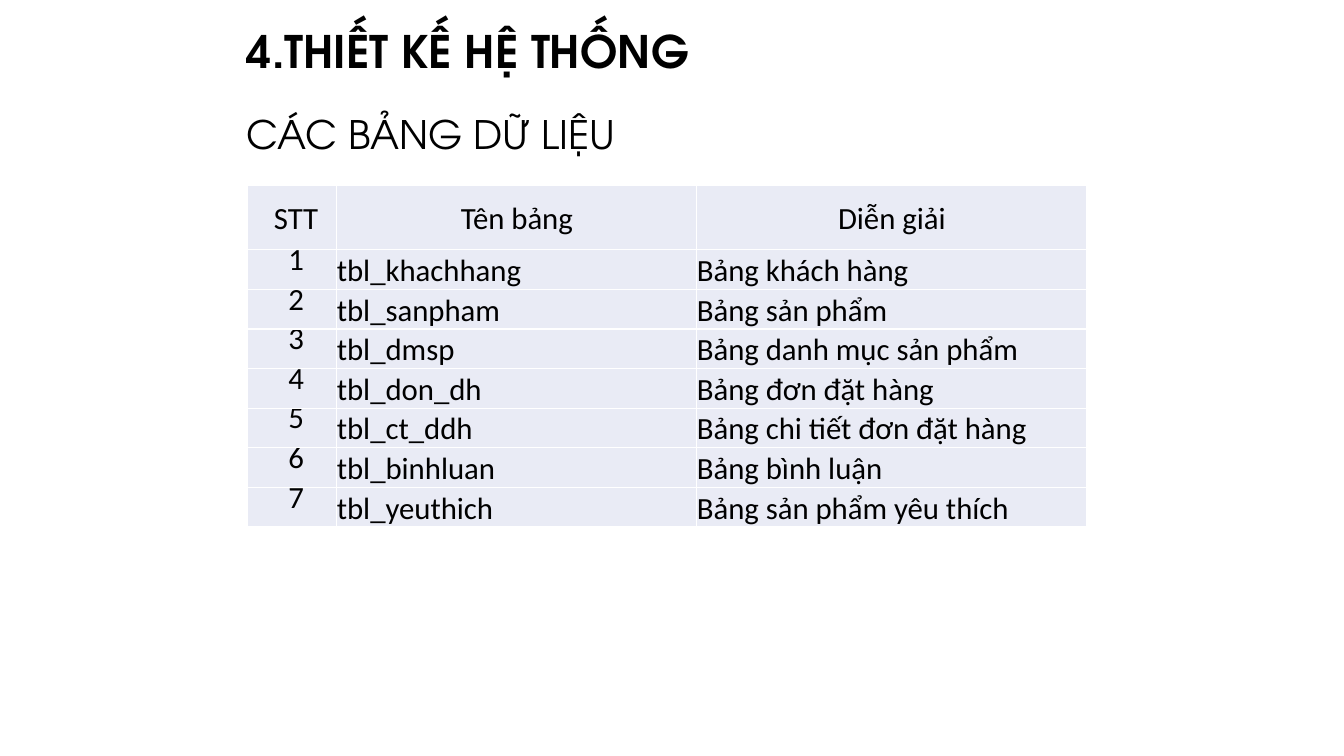
from lxml.etree import SubElement
from pptx import Presentation
from pptx.dml.color import RGBColor
from pptx.enum.text import MSO_ANCHOR as ANCHOR, MSO_AUTO_SIZE as AUTO, PP_ALIGN as ALIGN
from pptx.oxml.ns import qn
from pptx.util import Pt

# Content
TITLE = "4.THIẾT KẾ HỆ THỐNG"
SUBTITLE = "CÁC BẢNG DỮ LIỆU"
HEADER = ("STT", "Tên bảng", "Diễn giải")
TABLES = [
    ("tbl_khachhang", "Bảng khách hàng"),
    ("tbl_sanpham", "Bảng sản phẩm"),
    ("tbl_dmsp", "Bảng danh mục sản phẩm"),
    ("tbl_don_dh", "Bảng đơn đặt hàng"),
    ("tbl_ct_ddh", "Bảng chi tiết đơn đặt hàng"),
    ("tbl_binhluan", "Bảng bình luận"),
    ("tbl_yeuthich", "Bảng sản phẩm yêu thích"),
]

# Layout and formats
LEFT, WIDTH = 169.2, 620.6
TABLE_LEFT, TABLE_TOP = 176.4, 132.5
COL_WIDTHS = (64.2, 257.2, 278.6)
HEADER_HEIGHT, ROW_HEIGHT = 46, 27.2
NUMBER_INDENT = 6
BLACK, WHITE, CELL_FILL = "000000", "FFFFFF", "E9EBF5"
HEADING_FONT, TABLE_FONT = "TeX Gyre Adventor", "Calibri"
TITLE_FONT = dict(name=HEADING_FONT, size=Pt(32), bold=True)
SUBTITLE_FONT = dict(name=HEADING_FONT, size=Pt(28), bold=False)
CELL_FONT = dict(name=TABLE_FONT, size=Pt(22), bold=False)
CELL_SPACING = dict(line_spacing=1.07, space_before=Pt(6), space_after=Pt(6))
NO_MARGINS = dict.fromkeys(
    ("margin_left", "margin_right", "margin_top", "margin_bottom"), 0)


def color(hex_string):
    return RGBColor.from_string(hex_string)


def apply(obj, values):
    for name, value in values.items():
        setattr(obj, name, value)


def write(tf, text, font, para):
    p = tf.paragraphs[0]
    apply(p, para)
    r = p.add_run()
    r.text = text
    apply(r.font, font)
    r.font.color.rgb = color(BLACK)
    return p


def add_borders(cell):
    tc_pr = cell._tc.get_or_add_tcPr()
    for side in ("lnL", "lnR", "lnT", "lnB"):
        ln = SubElement(tc_pr, qn("a:" + side), w=str(Pt(1)))
        fill = SubElement(ln, qn("a:solidFill"))
        SubElement(fill, qn("a:srgbClr"), val=WHITE)


def format_cell(cell, text, row, col):
    add_borders(cell)  # borders come before the fill in the cell XML
    cell.fill.solid()
    cell.fill.fore_color.rgb = color(CELL_FILL)
    apply(cell, NO_MARGINS)
    body = row > 0 and col > 0
    cell.vertical_anchor = ANCHOR.BOTTOM if body else ANCHOR.MIDDLE
    para = dict(CELL_SPACING, alignment=ALIGN.JUSTIFY if body else ALIGN.CENTER)
    if row > 0 and col == 0:
        para["line_spacing"] = Pt(13.2)
    p = write(cell.text_frame, text, CELL_FONT, para)
    if col == 0:
        p._p.get_or_add_pPr().set("marL", str(Pt(NUMBER_INDENT)))


def main():
    prs = Presentation()
    prs.slide_width, prs.slide_height = Pt(960), Pt(540)
    s = prs.slides.add_slide(prs.slide_layouts[5])

    # Title
    title = s.shapes.title
    apply(title, dict(left=Pt(LEFT), top=Pt(9.4), width=Pt(WIDTH), height=Pt(58.3)))
    apply(title.text_frame, dict(word_wrap=True, auto_size=AUTO.NONE,
                                 vertical_anchor=ANCHOR.MIDDLE))
    write(title.text_frame, TITLE, TITLE_FONT,
          dict(alignment=ALIGN.LEFT, line_spacing=0.9))

    # Subtitle
    sp = s.shapes.add_textbox(Pt(LEFT), Pt(79.2), Pt(WIDTH), Pt(41.8))
    sp.text_frame.word_wrap = True
    write(sp.text_frame, SUBTITLE, SUBTITLE_FONT,
          dict(alignment=ALIGN.LEFT, line_spacing=0.9, space_before=Pt(10)))

    # Table of database tables, numbered from 1
    rows = [HEADER] + [(str(n), *names) for n, names in enumerate(TABLES, 1)]
    heights = [HEADER_HEIGHT] + [ROW_HEIGHT] * len(TABLES)
    table = s.shapes.add_table(
        len(rows), len(HEADER), Pt(TABLE_LEFT), Pt(TABLE_TOP),
        Pt(sum(COL_WIDTHS)), Pt(sum(heights))).table
    for column, width in zip(table.columns, COL_WIDTHS):
        column.width = Pt(width)
    for i, (values, height) in enumerate(zip(rows, heights)):
        table.rows[i].height = Pt(height)
        for j, text in enumerate(values):
            format_cell(table.cell(i, j), text, i, j)

    prs.save("out.pptx")


if __name__ == "__main__":
    main()
